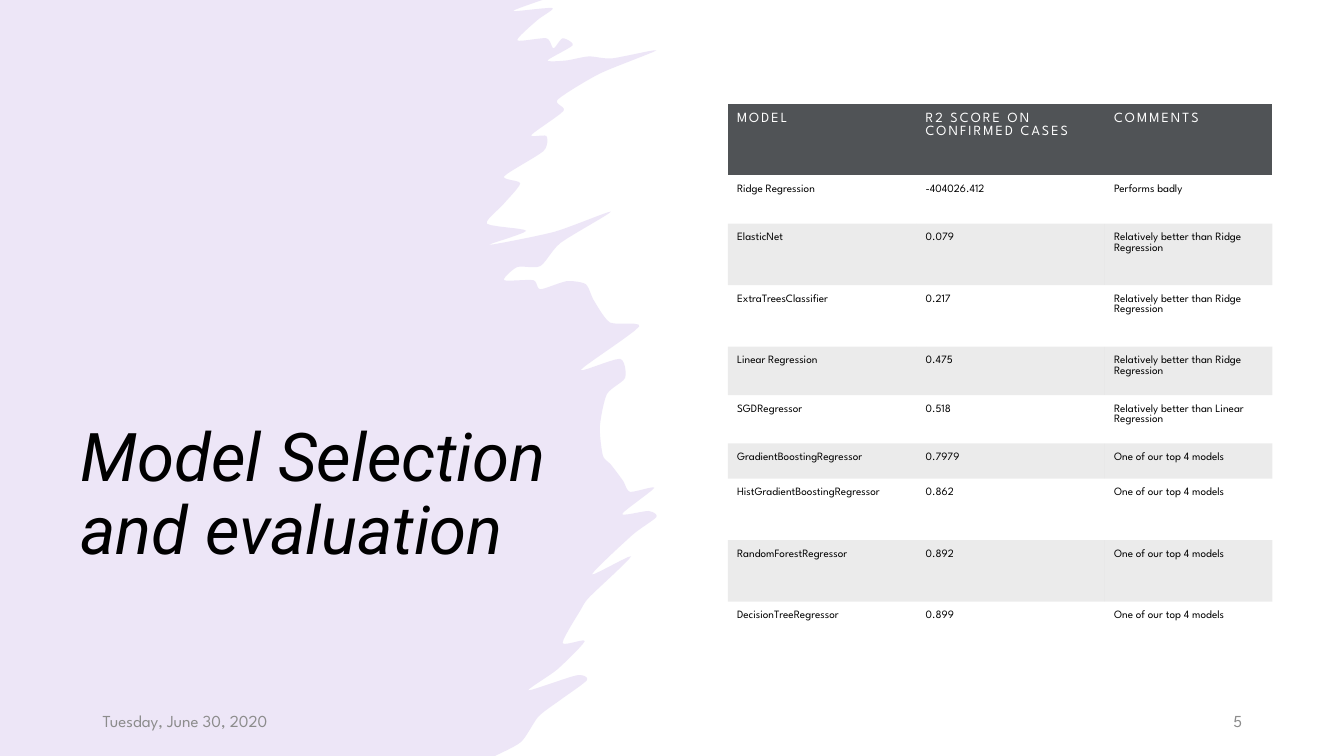
from lxml.etree import SubElement
from pptx import Presentation
from pptx.dml.color import RGBColor
from pptx.enum.text import MSO_ANCHOR, PP_ALIGN
from pptx.oxml.ns import qn
from pptx.util import Inches, Pt

LAVENDER = RGBColor(0xA7, 0x84, 0xD9)
SLATE = RGBColor(0x50, 0x53, 0x56)
GRAY = RGBColor(0x8C, 0x8C, 0x8C)
BLACK = RGBColor(0, 0, 0)
WHITE = RGBColor(0xFF, 0xFF, 0xFF)
NO_STYLE = "{2D5ABB26-0587-4C30-8999-92F81FD0307C}"


def fill_tinted(fill, properties, color, percent):
    fill.solid()
    fill.fore_color.rgb = color
    color_element = properties.find(qn("a:solidFill"))[0]
    SubElement(color_element, qn("a:alpha"), val=str(percent * 1000))


def write(text_frame, text, color, **formats):
    paragraph = text_frame.paragraphs[0]
    run = paragraph.add_run()
    run.text = text
    run.font.color.rgb = color
    for name, value in formats.items():
        setattr(run.font, name, value)
    return paragraph


presentation = Presentation()
presentation.slide_width = Inches(13.33)
presentation.slide_height = Inches(7.5)
slide = presentation.slides.add_slide(presentation.slide_layouts[6])

# Ragged brush edge from bottom to top, rounded through its turning points
brush_edge = [
    (4.91, 7.5), (5.17, 7.36), (5.34, 7.11), (5.55, 6.95), (5.82, 6.75),
    (5.72, 6.7), (5.24, 6.85), (5.53, 6.64), (5.8, 6.36), (5.58, 6.38),
    (5.76, 6.05), (5.85, 5.92), (6.26, 5.52), (5.87, 5.7), (6.27, 5.31),
    (6.51, 5.13), (6.43, 5.07), (6.17, 5.1), (6.49, 4.84), (6.25, 4.88),
    (6.18, 4.77), (6.06, 4.61), (5.98, 4.52), (5.95, 4.23), (6.02, 3.91),
    (6.2, 3.75), (6.15, 3.56), (5.76, 3.67), (6.34, 3.24), (6.05, 3.2),
    (5.89, 2.98), (5.81, 2.82), (5.62, 2.79), (5.36, 2.87), (5.29, 2.78),
    (5, 2.78), (5.13, 2.65), (5.36, 2.64), (5.56, 2.41), (6.06, 2.1),
    (5.5, 2.3), (4.85, 2.43), (5.22, 2.29), (4.83, 2.22), (4.99, 2.03),
    (5.16, 1.82), (5, 1.75), (5.39, 1.5), (5.42, 1.35), (5.27, 1.34),
    (5.59, 1.1), (5.53, 0.99), (5.95, 0.73), (6.51, 0.5), (6.07, 0.58),
    (5.84, 0.56), (5.62, 0.6), (5.43, 0.6), (5.68, 0.45), (5.58, 0.38),
    (5.49, 0.48), (5.42, 0.38), (5.13, 0.4), (5.33, 0.2), (5.48, 0.08),
    (5.09, 0.11), (5.38, 0),
]
STEPS = 6
TENSION = 0.35
outline = [(0, 0), (0, 7.5), brush_edge[0]]
padded = brush_edge[:1] + brush_edge + brush_edge[-1:]
for before, start, end, after in zip(padded, padded[1:], padded[2:], padded[3:]):
    for step in range(1, STEPS + 1):
        t = step / STEPS
        blend = t * t * (3 - 2 * t)
        leave = TENSION * t * (1 - t) ** 2
        arrive = TENSION * t * t * (t - 1)
        outline.append(tuple(
            s + blend * (e - s) + leave * (e - b) + arrive * (a - s)
            for b, s, e, a in zip(before, start, end, after)))
builder = slide.shapes.build_freeform(0, 0)
builder.add_line_segments([(Inches(x), Inches(max(y, 0))) for x, y in outline[1:]])
brush = builder.convert_to_shape()
brush.shadow.inherit = False
brush.line.fill.background()
fill_tinted(brush.fill, brush._element.spPr, LAVENDER, 20)

# Title, date and slide number
footer_format = {"size": Pt(12), "name": "League Spartan"}
title_format = {"size": Pt(48), "name": "Roboto", "italic": True}
for text, box, anchor, align, color, formats in [
    ("Model Selection and evaluation", (0.7, 0.7, 5.05, 4.99),
     MSO_ANCHOR.BOTTOM, PP_ALIGN.LEFT, BLACK, title_format),
    ("Tuesday, June 30, 2020", (0.92, 6.95, 3, 0.4),
     MSO_ANCHOR.MIDDLE, PP_ALIGN.LEFT, GRAY, footer_format),
    ("5", (9.42, 6.95, 3, 0.4),
     MSO_ANCHOR.MIDDLE, PP_ALIGN.RIGHT, GRAY, footer_format),
]:
    text_frame = slide.shapes.add_textbox(*map(Inches, box)).text_frame
    text_frame.word_wrap = True
    text_frame.vertical_anchor = anchor
    paragraph = write(text_frame, text, color, **formats)
    paragraph.alignment = align
    if formats is title_format:
        paragraph.line_spacing = 0.9

# Model score table
BETTER = "Relatively better than Ridge Regression"
TOP = "One of our top 4 models"
rows = [
    (0.71, "MODEL", "R2 SCORE ON CONFIRMED CASES", "COMMENTS"),
    (0.48, "Ridge Regression", "-404026.412", "Performs badly"),
    (0.61, "ElasticNet", "0.079", BETTER),
    (0.61, "ExtraTreesClassifier", "0.217", BETTER),
    (0.48, "Linear Regression", "0.475", BETTER),
    (0.48, "SGDRegressor", "0.518", "Relatively better than Linear Regression"),
    (0.35, "GradientBoostingRegressor", "0.7979", TOP),
    (0.61, "HistGradientBoostingRegressor", "0.862", TOP),
    (0.61, "RandomForestRegressor", "0.892", TOP),
    (0.48, "DecisionTreeRegressor", "0.899", TOP),
]
table = slide.shapes.add_table(len(rows), 3, Inches(7.22), Inches(1.03),
                               Inches(5.4), Inches(5.42)).table
table._tbl.tblPr.find(qn("a:tableStyleId")).text = NO_STYLE
table.horz_banding = False
for column, width in zip(table.columns, (1.87, 1.87, 1.66)):
    column.width = Inches(width)
for row_index, (height, *texts) in enumerate(rows):
    table.rows[row_index].height = Inches(height)
    header = row_index == 0
    for cell, text in zip(table.rows[row_index].cells, texts):
        for side in ("left", "right", "top", "bottom"):
            setattr(cell, f"margin_{side}", Inches(0.09))
        paragraph = write(cell.text_frame, text, WHITE if header else BLACK,
                          size=Pt(10 if header else 8), name="League Spartan", bold=False)
        if header:
            paragraph.runs[0]._r.get_or_add_rPr().set("spc", "150")
            cell.fill.solid()
            cell.fill.fore_color.rgb = SLATE
        elif row_index % 2 == 0:
            fill_tinted(cell.fill, cell._tc.tcPr, BLACK, 8)
        else:
            cell.fill.background()

presentation.save("out.pptx")
